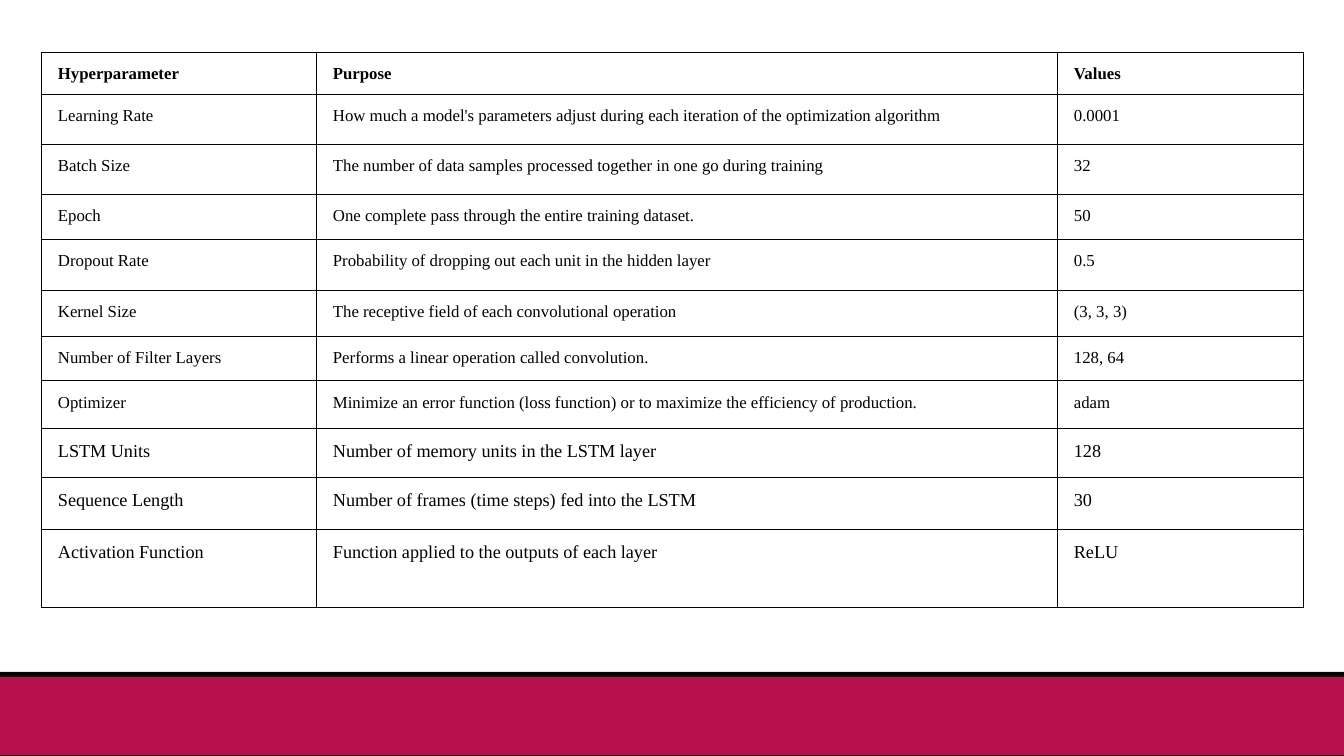
from dataclasses import dataclass

from lxml import etree
from pptx import Presentation
from pptx.dml.color import RGBColor
from pptx.enum.shapes import MSO_SHAPE
from pptx.oxml.ns import qn
from pptx.util import Emu, Pt

RECTANGLE = MSO_SHAPE.RECTANGLE
EMU_PER_PX = 914400 / 100.8
BORDER_TAGS = ("a:lnL", "a:lnR", "a:lnT", "a:lnB")


@dataclass(frozen=True)
class Theme:
    font: str = "Times New Roman"
    ink: str = "000000"
    crimson: str = "B6114D"
    body_size: int = 12
    large_size: int = 13
    line_spacing: float = 1.15
    border_width: float = 0.6


THEME = Theme()

COLUMN_WIDTHS = (275, 741, 246)
HEADER = ("Hyperparameter", "Purpose", "Values")
HEADER_HEIGHT = 42
BODY_ROWS = (
    (50, "Learning Rate",
     "How much a model's parameters adjust during each iteration of the optimization algorithm",
     "0.0001"),
    (50, "Batch Size",
     "The number of data samples processed together in one go during training", "32"),
    (45, "Epoch", "One complete pass through the entire training dataset.", "50"),
    (51, "Dropout Rate", "Probability of dropping out each unit in the hidden layer", "0.5"),
    (46, "Kernel Size", "The receptive field of each convolutional operation", "(3, 3, 3)"),
    (45, "Number of Filter Layers", "Performs a linear operation called convolution.",
     "128, 64"),
    (48, "Optimizer",
     "Minimize an error function (loss function) or to maximize the efficiency of production.",
     "adam"),
)
LARGE_ROWS = (
    (49, "LSTM Units", "Number of memory units in the LSTM layer", "128"),
    (52, "Sequence Length", "Number of frames (time steps) fed into the LSTM", "30"),
    (78, "Activation Function", "Function applied to the outputs of each layer", "ReLU"),
)


def px(length):
    return Emu(round(length * EMU_PER_PX))


def apply_format(target, values):
    for name, value in values.items():
        setattr(target, name, value)


def add_band(page, top, height, color):
    """Add a full-width footer band."""
    band = page.shapes.add_shape(RECTANGLE, 0, px(top), px(1344), px(height))
    band.shadow.inherit = False
    band.fill.solid()
    band.fill.fore_color.rgb = RGBColor.from_string(color)
    band.line.fill.background()


def add_borders(cell):
    properties = cell._tc.get_or_add_tcPr()
    for tag in BORDER_TAGS:
        line = etree.SubElement(properties, qn(tag), w=str(Pt(THEME.border_width)))
        fill = etree.SubElement(line, qn("a:solidFill"))
        etree.SubElement(fill, qn("a:srgbClr"), val=THEME.ink)


def write_cell(cell, text, size, bold):
    sides = ("left", "right", "top", "bottom")
    apply_format(cell, {f"margin_{side}": px(10) for side in sides})
    add_borders(cell)
    cell.fill.background()
    para = cell.text_frame.paragraphs[0]
    para.line_spacing = THEME.line_spacing
    para._p.get_or_add_pPr().set("marL", str(px(7)))
    span = para.add_run()
    span.text = text
    apply_format(span.font, {"name": THEME.font, "size": Pt(size), "bold": bold})
    span.font.color.rgb = RGBColor.from_string(THEME.ink)


def add_hyperparameter_table(page, left, top):
    rows = [(HEADER_HEIGHT, HEADER, THEME.body_size, True)]
    for group, size in ((BODY_ROWS, THEME.body_size), (LARGE_ROWS, THEME.large_size)):
        rows += [(height, texts, size, False) for height, *texts in group]
    table = page.shapes.add_table(
        len(rows), len(COLUMN_WIDTHS), px(left), px(top),
        px(sum(COLUMN_WIDTHS)), px(sum(row[0] for row in rows))).table
    apply_format(table, {"first_row": False, "horz_banding": False})
    for column, width in zip(table.columns, COLUMN_WIDTHS):
        column.width = px(width)
    for table_row, (height, texts, size, bold) in zip(table.rows, rows):
        table_row.height = px(height)
        for cell, text in zip(table_row.cells, texts):
            write_cell(cell, text, size, bold)


def main():
    deck = Presentation()
    apply_format(deck, {"slide_width": px(1344), "slide_height": px(756)})
    page = deck.slides.add_slide(deck.slide_layouts[6])
    add_band(page, 672, 84, THEME.ink)
    add_band(page, 677, 78, THEME.crimson)
    add_hyperparameter_table(page, 41, 52)
    deck.save("out.pptx")


if __name__ == "__main__":
    main()
